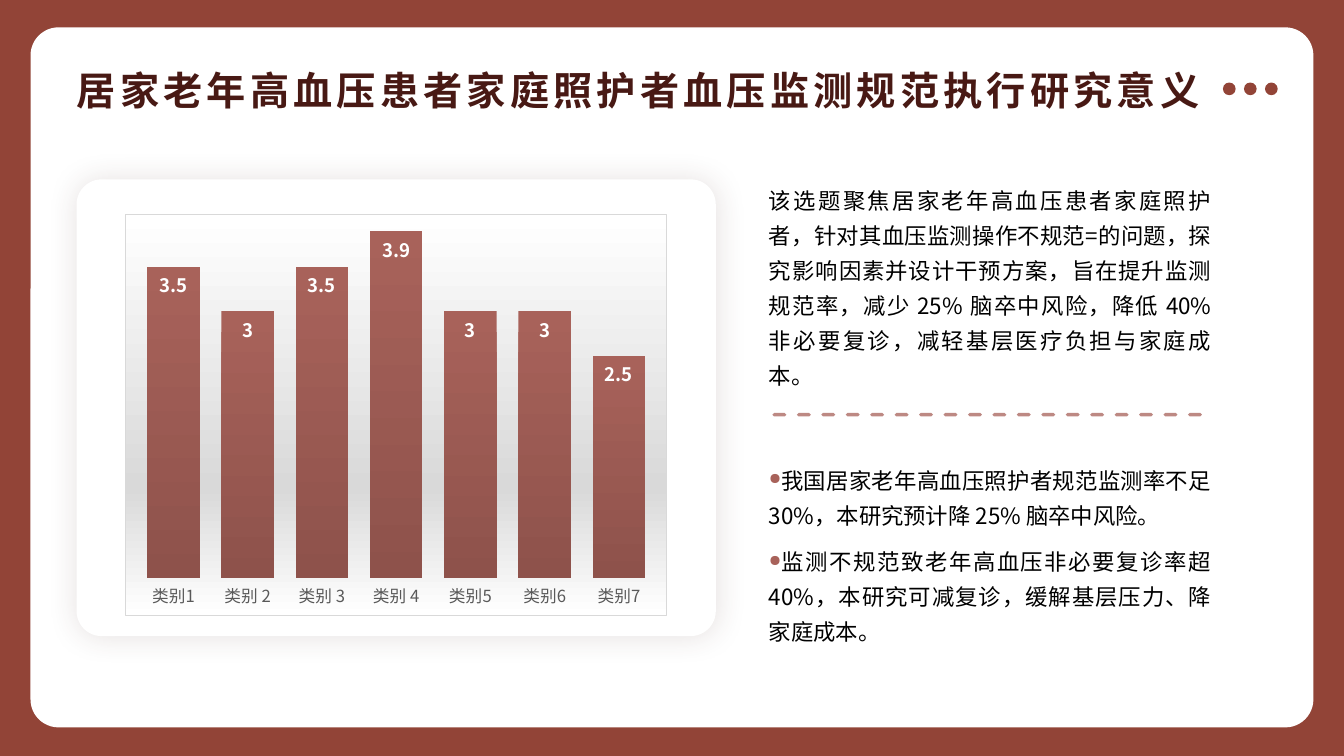
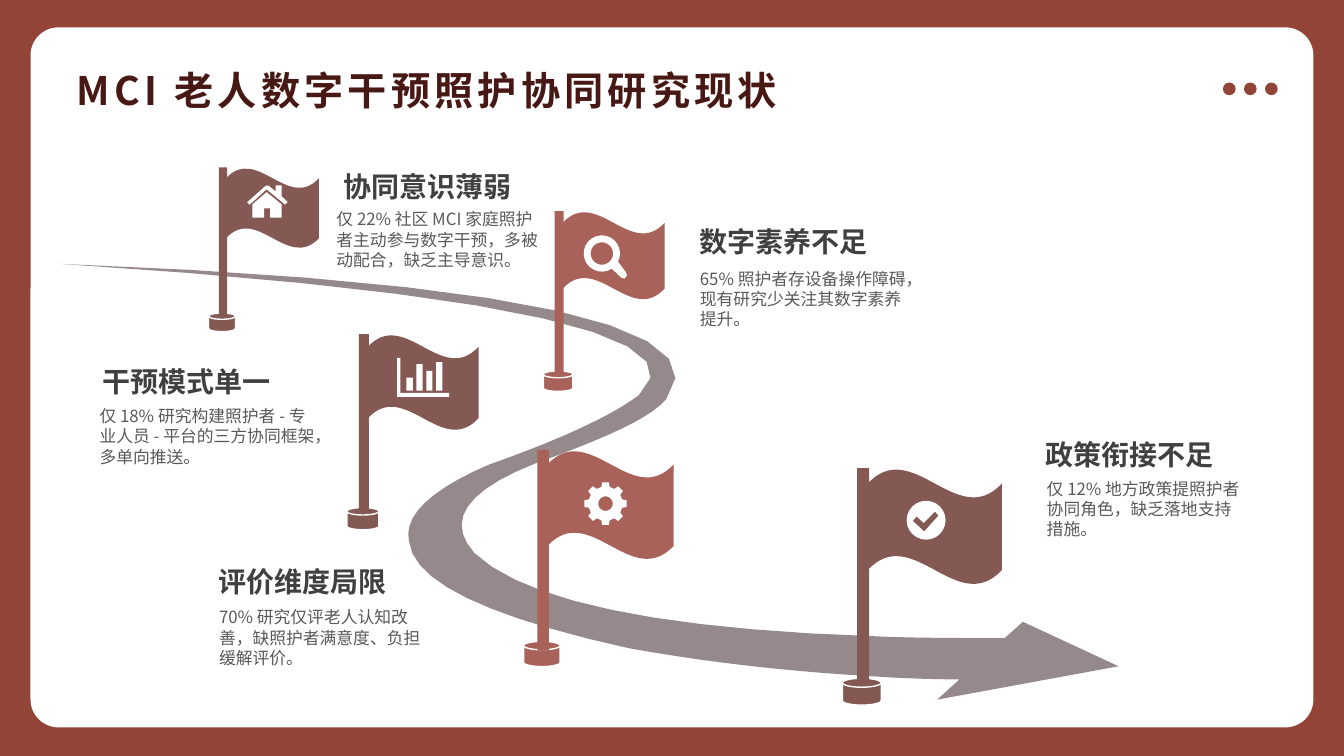
from dataclasses import dataclass
from math import cos, radians, sin

from pptx import Presentation
from pptx.chart.data import CategoryChartData
from pptx.dml.color import RGBColor
from pptx.enum.chart import XL_CHART_TYPE, XL_LABEL_POSITION, XL_TICK_MARK
from pptx.enum.dml import MSO_LINE
from pptx.enum.shapes import MSO_CONNECTOR, MSO_SHAPE
from pptx.enum.text import MSO_ANCHOR, PP_ALIGN
from pptx.oxml import parse_xml
from pptx.oxml.ns import nsdecls, qn
from pptx.util import Cm, Pt

FONT = "Noto Sans CJK SC"
RUST = RGBColor(0x92, 0x44, 0x37)
ROSE = RGBColor(0xA8, 0x62, 0x5A)
BROWN = RGBColor(0x84, 0x58, 0x53)
DEEP_ROSE = RGBColor(0x8E, 0x52, 0x4B)
TITLE_RED = RGBColor(0x48, 0x19, 0x14)
SHADOW = RGBColor(0x54, 0x31, 0x2D)
ROAD_GREY = RGBColor(0x96, 0x89, 0x8C)
DARK_GREY = RGBColor(0x40, 0x40, 0x40)
MID_GREY = RGBColor(0x59, 0x59, 0x59)
LIGHT_GREY = RGBColor(0xD9, 0xD9, 0xD9)
WHITE = RGBColor(0xFF, 0xFF, 0xFF)
BLACK = RGBColor(0, 0, 0)


def xml(tag, attrs="", inner=""):
    return parse_xml(f'<{tag} {nsdecls("a", "c")} {attrs}>{inner}</{tag}>')


def gradient(*stops):
    """Vertical gradient markup from (percent, colour) pairs."""
    marks = "".join(f'<a:gs pos="{pos * 1000}"><a:srgbClr val="{color}"/></a:gs>'
                    for pos, color in stops)
    return f'<a:gsLst>{marks}</a:gsLst><a:lin ang="5400000" scaled="0"/>'


def set_east_asian(root):
    """Give every run the same font for Chinese as for Latin text."""
    for latin in list(root.iter(qn("a:latin"))):
        latin.addnext(xml("a:ea", f'typeface="{FONT}"'))


def style_font(font, size, color, bold=False):
    font.name, font.size, font.bold = FONT, Pt(size), bold
    font.color.rgb = color


def paint(sp, color, outline=None):
    sp.shadow.inherit = False
    sp.fill.solid()
    sp.fill.fore_color.rgb = color
    if outline is None:
        sp.line.fill.background()
    else:
        sp.line.color.rgb = outline
        sp.line.width = Pt(1)
    return sp


def add_box(slide, kind, left, top, width, height, color, outline=None):
    sp = slide.shapes.add_shape(kind, Cm(left), Cm(top), Cm(width), Cm(height))
    return paint(sp, color, outline)


def add_outline(slide, contours, left, top, color, unit=1):
    """Draw closed contours, given in units of `unit` cm, as one shape."""
    placed = [[(Cm(left + x * unit), Cm(top + y * unit)) for x, y in contour]
              for contour in contours]
    builder = slide.shapes.build_freeform(*placed[0][0])
    for i, contour in enumerate(placed):
        if i:
            builder.move_to(*contour[0])
        builder.add_line_segments(contour[1:], close=True)
    return paint(builder.convert_to_shape(), color)


def add_text(slide, left, top, width, height, text, size, color, bold=False,
             inset=(0, 0)):
    sp = slide.shapes.add_textbox(Cm(left), Cm(top), Cm(width), Cm(height))
    tf = sp.text_frame
    tf.word_wrap = True
    tf.margin_left = tf.margin_right = Cm(inset[0])
    tf.margin_top = tf.margin_bottom = Cm(inset[1])
    r = tf.paragraphs[0].add_run()
    r.text = text
    style_font(r.font, size, color, bold)
    return sp


def add_framed_slide(prs, title):
    slide = prs.slides.add_slide(prs.slide_layouts[6])
    slide.background.fill.solid()
    slide.background.fill.fore_color.rgb = RUST
    frame = add_box(slide, MSO_SHAPE.ROUNDED_RECTANGLE, 0.77, 0.69, 32.33, 17.64, WHITE)
    frame.adjustments[0] = 0.04
    for i in range(3):
        add_box(slide, MSO_SHAPE.OVAL, 30.82 + 0.53 * i, 2.08, 0.32, 0.32, RUST)
    sp = add_text(slide, 1.69, 1.28, 30.48, 1.96, title, 28, TITLE_RED, True, (0.25, 0.13))
    sp.text_frame.vertical_anchor = MSO_ANCHOR.MIDDLE
    sp.text_frame.paragraphs[0].runs[0].font._element.set("spc", "300")
    return slide


# Significance slide

def add_chart_panel(slide, left, top, width, height):
    panel = add_box(slide, MSO_SHAPE.ROUNDED_RECTANGLE, left, top, width, height, WHITE)
    panel.adjustments[0] = 0.055
    panel._element.spPr.find(qn("a:effectLst")).append(xml(
        "a:outerShdw", f'blurRad="{Pt(22)}" dist="{Pt(1)}" dir="2700000" algn="tl"',
        f'<a:srgbClr val="{SHADOW}"><a:alpha val="15000"/></a:srgbClr>'))

    data = CategoryChartData()
    data.categories = ["类别1", "类别 2", "类别 3", "类别 4", "类别5", "类别6", "类别7"]
    data.add_series("Series 1", (3.5, 3, 3.5, 3.9, 3, 3, 2.5))
    chart = slide.shapes.add_chart(
        XL_CHART_TYPE.COLUMN_CLUSTERED, Cm(left + 1.22), Cm(top + 0.87),
        Cm(width - 2.44), Cm(height - 1.38), data).chart
    style_font(chart.font, 10, BLACK)
    chart.has_legend = chart.has_title = False
    chart._chartSpace.chart.addnext(xml(
        "c:spPr", "",
        f'<a:gradFill>{gradient((0, WHITE), (68, LIGHT_GREY), (100, WHITE))}</a:gradFill>'
        f'<a:ln w="9525"><a:solidFill><a:srgbClr val="{LIGHT_GREY}"/></a:solidFill></a:ln>'))

    values, cats = chart.value_axis, chart.category_axis
    values.minimum_scale, values.maximum_scale, values.major_unit = 0, 4, 1
    values.has_major_gridlines = values.visible = False
    cats.major_tick_mark = XL_TICK_MARK.NONE
    cats.format.line.fill.background()
    style_font(cats.tick_labels.font, 11.9, MID_GREY)

    plot = chart.plots[0]
    plot.gap_width, plot.vary_by_categories = 41, False
    bar_props = plot.series[0]._element.get_or_add_spPr()
    bar_props.append(xml("a:gradFill", "", gradient((0, ROSE), (100, DEEP_ROSE))))
    plot.has_data_labels = True
    labels = plot.data_labels
    labels.show_value, labels.position = True, XL_LABEL_POSITION.INSIDE_END
    style_font(labels.font, 13.3, WHITE, True)
    set_east_asian(chart._chartSpace)


def add_prose(slide, left, top, width, height, text, bullet=False):
    sp = add_text(slide, left, top, width, height, text, 16, BLACK)
    p = sp.text_frame.paragraphs[0]
    p.alignment, p.line_spacing = PP_ALIGN.JUSTIFY, 1.3
    pPr = p._p.get_or_add_pPr()
    pPr.set("hangingPunct", "0")
    if bullet:
        pPr.set("marL", "0")
        pPr.set("indent", str(Cm(-0.79)))
        pPr.append(xml("a:buClr", "", f'<a:srgbClr val="{ROSE}"/>'))
        pPr.append(xml("a:buSzPct", 'val="70000"'))
        pPr.append(xml("a:buChar", 'char="●"'))


def add_divider(slide, left, top, width):
    line = slide.shapes.add_connector(
        MSO_CONNECTOR.STRAIGHT, Cm(left), Cm(top), Cm(left + width), Cm(top))
    line.line.color.rgb, line.line.width = ROSE, Pt(2.5)
    line.line.dash_style = MSO_LINE.DASH
    ln = line.line._get_or_add_ln()
    ln.set("cap", "rnd")
    ln.find(".//" + qn("a:srgbClr")).append(xml("a:alpha", 'val="74000"'))
    line._element.spPr.append(xml("a:effectLst"))


def add_findings(slide, left, top, width):
    add_prose(slide, left, top, width, 5.33,
              "该选题聚焦居家老年高血压患者家庭照护者，针对其血压监测操作不规范=的问题，"
              "探究影响因素并设计干预方案，旨在提升监测规范率，减少 25% 脑卒中风险，"
              "降低 40% 非必要复诊，减轻基层医疗负担与家庭成本。")
    add_divider(slide, left + 0.13, top + 5.93, width - 0.25)
    add_prose(slide, left, top + 7.04, width, 1.78,
              "我国居家老年高血压照护者规范监测率不足 30%，本研究预计降 25% 脑卒中风险。", True)
    add_prose(slide, left, top + 9.09, width, 2.67,
              "监测不规范致老年高血压非必要复诊率超 40%，本研究可减复诊，"
              "缓解基层压力、降家庭成本。", True)


def build_significance(prs):
    slide = add_framed_slide(prs, "居家老年高血压患者家庭照护者血压监测规范执行研究意义")
    add_chart_panel(slide, 1.93, 4.52, 16.11, 11.51)
    add_findings(slide, 19.38, 4.52, 11.15)
    set_east_asian(slide._element)


# Road map slide: icons are contours on a box one unit wide

def arc(cx, cy, radius, start=0, end=360, step=15):
    return [(cx + radius * cos(radians(a)), cy + radius * sin(radians(a)))
            for a in range(start, end, step)]


def bar(x, top):
    return [(x, top), (x + 0.12, top), (x + 0.12, 0.63), (x, 0.63)]


CHECK = [arc(0.5, 0.5, 0.5),
         [(0.73, 0.28), (0.82, 0.38), (0.45, 0.79), (0.16, 0.52), (0.25, 0.4), (0.44, 0.57)]]
GEAR = [[point for tooth in range(0, 360, 45)
         for offset, radius in ((-14, 0.4), (-9, 0.5), (9, 0.5), (14, 0.4))
         for point in arc(0.5, 0.5, radius, tooth + offset, tooth + offset + 1)],
        arc(0.5, 0.5, 0.17)]
HOUSE = [[(0.94, 0.48), (0.48, 0.1), (0.06, 0.48), (0, 0.42), (0.46, 0.01), (0.53, 0.01),
          (0.7, 0.15), (0.7, 0), (0.85, 0), (0.85, 0.27), (1, 0.41)],
         [(0.85, 0.8), (0.57, 0.8), (0.57, 0.57), (0.42, 0.57), (0.42, 0.8),
          (0.13, 0.8), (0.13, 0.47), (0.48, 0.17), (0.85, 0.47)]]
LENS = [arc(0.42, 0.42, 0.42, 57, 394) + [(0.98, 0.86), (1, 0.93), (0.94, 1), (0.87, 0.98)],
        arc(0.42, 0.42, 0.26)]
BARS = [[(0, 0), (0.06, 0), (0.06, 0.67), (1, 0.67), (1, 0.75), (0, 0.75)]] + [
    bar(0.18 + 0.19 * i, top) for i, top in enumerate((0.38, 0.12, 0.25, 0.08))]

ARROWHEAD = [(23.8, 9.43), (24.26, 9.02), (26.67, 10.14), (22.1, 10.98), (22.66, 10.47)]
ROAD_CURVES = [
    ((21.92, 10.47), (21.16, 10.44), (20.43, 10.39)),
    ((18.32, 10.27), (16.29, 10.04), (14.3, 9.68)),
    ((10.75, 8.89), (8.89, 8.01), (8.79, 6.99)),
    ((8.64, 6.35), (9.33, 5.69), (10.8, 5.06)),
    ((12.68, 4.4), (13.95, 3.79), (14.58, 3.31)),
    ((16.21, 1.83), (11.33, 0.72), (0, 0)),
    ((11.61, 0.44), (16.69, 1.58), (15.27, 3.41)),
    ((14.89, 3.87), (13.8, 4.37), (11.97, 5.03)),
    ((10.21, 5.72), (9.71, 6.48), (10.44, 7.29)),
    ((11.71, 8.49), (15.04, 9.2), (20.43, 9.38)),
    ((21.47, 9.43), (22.61, 9.43), (23.8, 9.43)),
]


def bezier(p0, p1, p2, p3, steps=10):
    """Points along a cubic curve, without its first point."""
    for t in (i / steps for i in range(1, steps + 1)):
        u = 1 - t
        yield tuple(u**3 * a + 3 * u * u * t * b + 3 * u * t * t * c + t**3 * d
                    for a, b, c, d in zip(p0, p1, p2, p3))


def add_road(slide, left, top):
    points = list(ARROWHEAD)
    for curve in ROAD_CURVES:
        points.extend(bezier(points[-1], *curve))
    add_outline(slide, [points], left, top, ROAD_GREY)


@dataclass
class Milestone:
    flag: tuple       # left, top, width of the cloth
    color: RGBColor
    icon: list
    icon_box: tuple   # offset from the cloth, then width
    heading: str
    heading_at: tuple
    body: str
    body_box: tuple   # left, top, width
    base: float = 1.56  # top of the base, in cloth widths


MILESTONES = [
    Milestone((21.87, 11.82, 3.38), BROWN, CHECK, (0.98, 0.8, 0.98),
              "政策衔接不足", (26.34, 11.03),
              "仅 12% 地方政策提照护者协同角色，缺乏落地支持措施。", (26.13, 11.93, 5.54)),
    Milestone((13.8, 11.36, 3.18), ROSE, GEAR, (0.92, 0.79, 1.08),
              "评价维度局限", (5.5, 14.23),
              "70% 研究仅评老人认知改善，缺照护者满意度、负担缓解评价。",
              (5.27, 15.17, 5.64), 1.51),
    Milestone((5.7, 4.24, 2.34), BROWN, HOUSE, (0.53, 0.43, 1.02),
              "协同意识薄弱", (8.66, 4.27),
              "仅 22% 社区 MCI 家庭照护者主动参与数字干预，多被动配合，缺乏主导意识。",
              (8.23, 5.14, 5.82)),
    Milestone((14.18, 5.34, 2.57), ROSE, LENS, (0.53, 0.59, 1.09),
              "数字素养不足", (17.63, 5.66),
              "65% 照护者存设备操作障碍，现有研究少关注其数字素养提升。", (17.39, 6.64, 5.82)),
    Milestone((9.27, 8.44, 2.79), BROWN, BARS, (0.74, 0.58, 1.31),
              "干预模式单一", (2.59, 9.18),
              "仅 18% 研究构建照护者 - 专业人员 - 平台的三方协同框架，多单向推送。",
              (2.26, 10.1, 5.92)),
]


def add_milestone(slide, m):
    left, top, w = m.flag
    add_box(slide, MSO_SHAPE.FLOWCHART_MAGNETIC_DISK, left - 0.19 * w, top + m.base * w,
            0.29 * w, 0.2 * w, m.color, WHITE)
    add_box(slide, MSO_SHAPE.WAVE, left, top, w, 0.86 * w, m.color)
    add_box(slide, MSO_SHAPE.RECTANGLE, left - 0.08 * w, top - 0.02, 0.09 * w, 1.59 * w, m.color)
    dx, dy, size = m.icon_box
    add_outline(slide, m.icon, left + dx, top + dy, WHITE, size)
    add_text(slide, *m.heading_at, 5, 0.86, m.heading, 20, DARK_GREY, True)
    add_text(slide, *m.body_box, 1.8, m.body, 12, MID_GREY, inset=(0.25, 0.13))


def build_status(prs):
    slide = add_framed_slide(prs, "MCI 老人数字干预照护协同研究现状")
    add_road(slide, 1.52, 6.65)
    for milestone in MILESTONES:
        add_milestone(slide, milestone)
    set_east_asian(slide._element)


def main():
    prs = Presentation()
    prs.slide_width, prs.slide_height = Cm(33.87), Cm(19.05)
    build_significance(prs)
    build_status(prs)
    prs.save("out.pptx")


if __name__ == "__main__":
    main()
